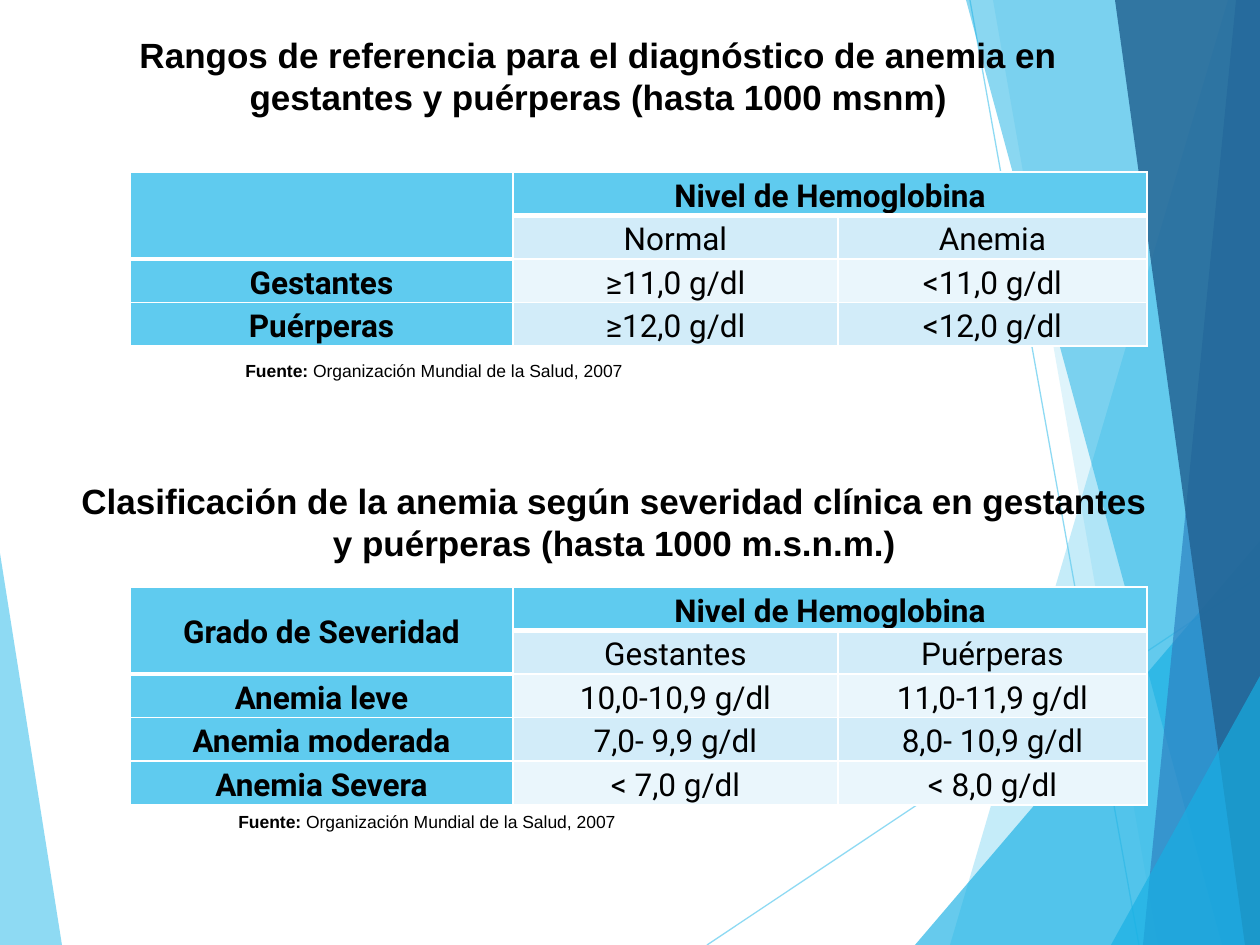
from dataclasses import dataclass

from lxml.etree import SubElement
from pptx import Presentation
from pptx.dml.color import RGBColor
from pptx.enum.shapes import MSO_CONNECTOR
from pptx.enum.text import MSO_ANCHOR, PP_ALIGN
from pptx.oxml.ns import qn
from pptx.util import Pt

PX = 914400 / 126


@dataclass(frozen=True)
class Theme:
    sky: str = "5FCBEF"
    cyan: str = "17B0E4"
    blue: str = "2E83C3"
    navy: str = "226292"
    pale: str = "D2ECF9"
    ice: str = "EAF6FC"
    white: str = "FFFFFF"
    black: str = "000000"
    sans: str = "Arial"
    grid: str = "Roboto"
    head: int = 20
    cell: int = 18
    note: int = 10


@dataclass(frozen=True)
class Box:
    x: int
    y: int
    w: int
    h: int

    def emu(self) -> tuple:
        return tuple(px(v) for v in (self.x, self.y, self.w, self.h))


@dataclass(frozen=True)
class Facet:
    color: str
    alpha: int
    points: tuple


@dataclass(frozen=True)
class Ray:
    start: tuple
    end: tuple


@dataclass(frozen=True)
class Grid:
    box: Box
    rows: tuple


THEME = Theme()
COLS = (383, 325, 309)

LEFT = Facet(THEME.sky, 70, ((0, 553), (62, 945), (0, 945)))
RAYS = (Ray((707, 945), (1260, 576)), Ray((970, 0), (1139, 945)))
FACETS = (
    Facet(THEME.sky, 36, ((1228, 0), (950, 945), (1260, 945), (1260, 0))),
    Facet(THEME.sky, 20, ((993, 0), (1158, 945), (1260, 945), (1260, 0))),
    Facet(THEME.cyan, 66, ((915, 945), (1260, 541), (1260, 945))),
    Facet(THEME.cyan, 50, ((966, 0), (1222, 945), (1260, 945), (1260, 0))),
    Facet(THEME.blue, 70, ((1236, 0), (1143, 945), (1260, 945), (1260, 0))),
    Facet(THEME.navy, 82, ((1115, 0), (1245, 945), (1260, 945), (1260, 0))),
    Facet(THEME.cyan, 66, ((1111, 945), (1260, 676), (1260, 945))),
)

RANGES = Grid(Box(130, 172, 1017, 174), (
    ("", "Nivel de Hemoglobina", ""),
    ("", "Normal", "Anemia"),
    ("Gestantes", "≥11,0 g/dl", "<11,0 g/dl"),
    ("Puérperas", "≥12,0 g/dl", "<12,0 g/dl"),
))
GRADES = Grid(Box(130, 587, 1017, 218), (
    ("Grado de Severidad", "Nivel de Hemoglobina", ""),
    ("", "Gestantes", "Puérperas"),
    ("Anemia leve", "10,0-10,9 g/dl", "11,0-11,9 g/dl"),
    ("Anemia moderada", "7,0- 9,9 g/dl", "8,0- 10,9 g/dl"),
    ("Anemia Severa", "< 7,0 g/dl", "< 8,0 g/dl"),
))


def px(n: int) -> int:
    return round(n * PX)


def rgb(color: str) -> RGBColor:
    return RGBColor.from_string(color)


def fade(fill, alpha: int) -> None:
    """Set the opacity, in percent, of a solid fill element."""
    tint = fill.find(qn("a:srgbClr"))
    SubElement(tint, qn("a:alpha"), val=str(alpha * 1000))


def add_facet(slide, facet: Facet) -> None:
    first, *rest = [(px(x), px(y)) for x, y in facet.points]
    pen = slide.shapes.build_freeform(*first, scale=1.0)
    pen.add_line_segments(rest, close=True)
    shape = pen.convert_to_shape()
    shape.shadow.inherit = False
    shape.fill.solid()
    shape.fill.fore_color.rgb = rgb(facet.color)
    shape.line.fill.background()
    fade(shape._element.spPr.find(qn("a:solidFill")), facet.alpha)


def add_ray(slide, ray: Ray) -> None:
    ends = [px(v) for v in ray.start + ray.end]
    line = slide.shapes.add_connector(MSO_CONNECTOR.STRAIGHT, *ends)
    line.line.width = Pt(0.75)
    line.line.color.rgb = rgb(THEME.sky)
    props = line._element.spPr
    fade(props.find(qn("a:ln")).find(qn("a:solidFill")), 70)
    SubElement(props, qn("a:effectLst"))


def add_run(para, text: str, font: str, size: int, bold: bool) -> None:
    run = para.add_run()
    run.text = text
    run.font.name = font
    run.font.size = Pt(size)
    run.font.bold = bold
    run.font.color.rgb = rgb(THEME.black)


def set_head(shape, box: Box, text: str, foot: int) -> None:
    """Place a heading, keeping foot px free below its text."""
    shape.left, shape.top, shape.width, shape.height = box.emu()
    frame = shape.text_frame
    frame.word_wrap = True
    frame.vertical_anchor = MSO_ANCHOR.MIDDLE
    frame.margin_bottom = px(foot)
    para = frame.paragraphs[0]
    para.alignment = PP_ALIGN.CENTER
    add_run(para, text, THEME.sans, THEME.head, True)


def add_note(slide, box: Box) -> None:
    frame = slide.shapes.add_textbox(*box.emu()).text_frame
    frame.word_wrap = False
    para = frame.paragraphs[0]
    para.alignment = PP_ALIGN.JUSTIFY
    add_run(para, "Fuente: ", THEME.sans, THEME.note, True)
    add_run(para, "Organización Mundial de la Salud, 2007",
            THEME.sans, THEME.note, False)


def add_edges(cell, base: int) -> None:
    """Draw white borders, with the bottom one base points wide."""
    props = cell._tc.get_or_add_tcPr()
    for side, width in zip("LRTB", (1, 1, 1, base)):
        edge = SubElement(props, qn(f"a:ln{side}"), w=str(Pt(width)))
        fill = SubElement(edge, qn("a:solidFill"))
        SubElement(fill, qn("a:srgbClr"), val=THEME.white)


def set_cell(cell, text: str, row: int, col: int) -> None:
    head = row == 0 or col == 0
    add_edges(cell, 3 if row == 0 or (row, col) == (1, 0) else 1)
    cell.fill.solid()
    band = THEME.pale if row % 2 else THEME.ice
    cell.fill.fore_color.rgb = rgb(THEME.sky if head else band)
    cell.vertical_anchor = MSO_ANCHOR.MIDDLE
    cell.margin_left = cell.margin_right = px(10)
    cell.margin_top = cell.margin_bottom = 0
    if text:
        para = cell.text_frame.paragraphs[0]
        para.alignment = PP_ALIGN.CENTER
        para.line_spacing = 1.15
        para.space_after = Pt(6)
        add_run(para, text, THEME.grid, THEME.cell, head)


def add_grid(slide, grid: Grid) -> None:
    table = slide.shapes.add_table(
        len(grid.rows), len(COLS), *grid.box.emu()).table
    table.first_row = table.horz_banding = False
    for col, width in zip(table.columns, COLS):
        col.width = px(width)
    for r, row in enumerate(grid.rows):
        for c, text in enumerate(row):
            set_cell(table.cell(r, c), text, r, c)
    table.cell(0, 0).merge(table.cell(1, 0))
    table.cell(0, 1).merge(table.cell(0, 2))


def main() -> None:
    deck = Presentation()
    deck.slide_width, deck.slide_height = px(1260), px(945)
    slide = deck.slides.add_slide(deck.slide_layouts[5])
    add_facet(slide, LEFT)
    for ray in RAYS:
        add_ray(slide, ray)
    for facet in FACETS:
        add_facet(slide, facet)
    title = slide.shapes.title
    title._element.getparent().append(title._element)
    set_head(title, Box(113, 26, 971, 121), "Rangos de referencia para el diagnóstico "
             "de anemia en gestantes y puérperas (hasta 1000 msnm)", 28)
    area = Box(64, 471, 1101, 140)
    set_head(slide.shapes.add_textbox(*area.emu()), area, "Clasificación de la anemia según severidad "
             "clínica en gestantes y puérperas (hasta 1000 m.s.n.m.)", 46)
    add_grid(slide, RANGES)
    add_note(slide, Box(233, 354, 406, 34))
    add_grid(slide, GRADES)
    add_note(slide, Box(226, 805, 406, 34))
    deck.save("out.pptx")


if __name__ == "__main__":
    main()
